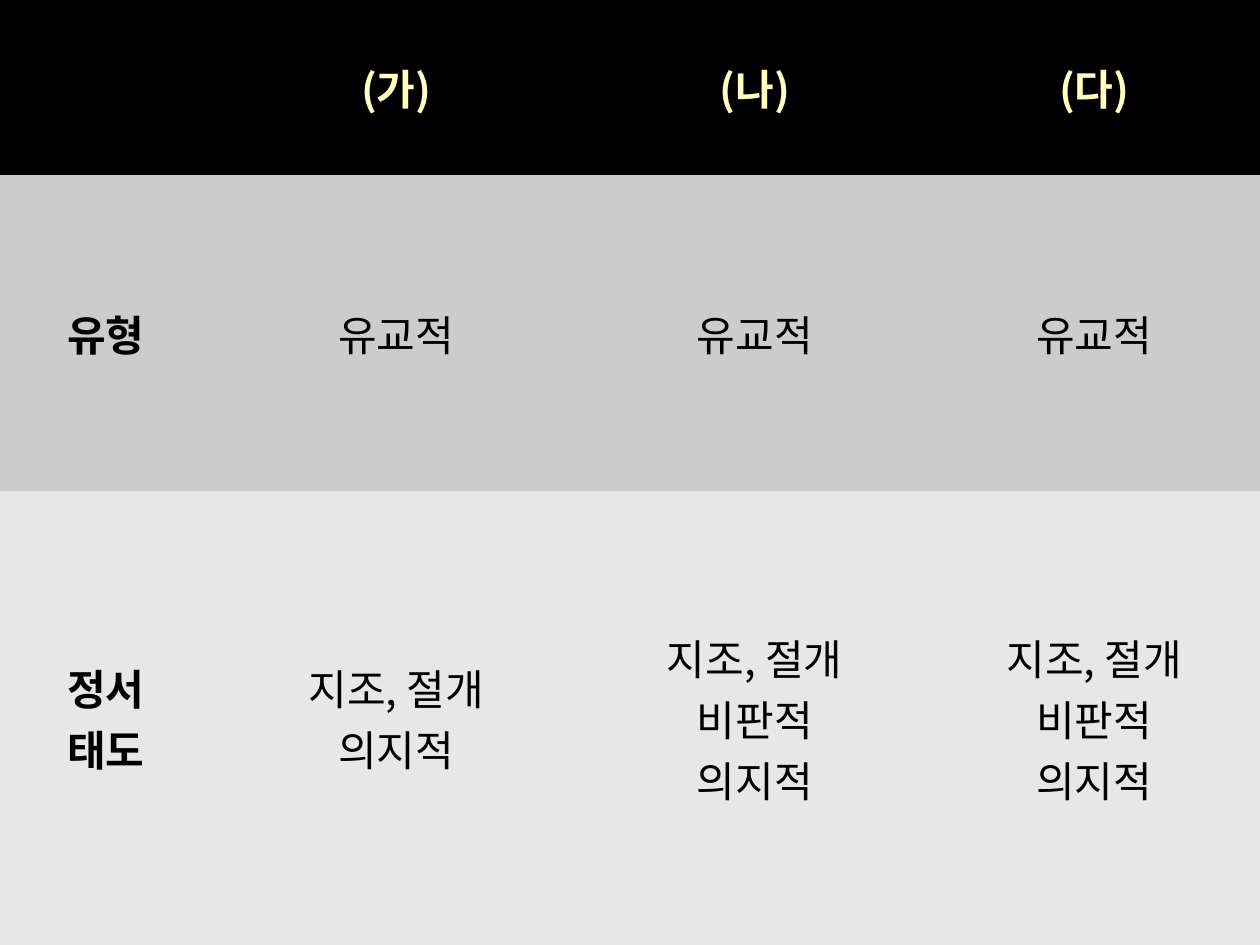
from pptx import Presentation
from pptx.dml.color import RGBColor
from pptx.enum import text
from pptx.oxml import ns
from pptx.util import Inches, Pt
from lxml import etree

FONT = "Noto Sans CJK KR"
BLACK = RGBColor(0x00, 0x00, 0x00)
CREAM = RGBColor(0xFF, 0xFF, 0xBF)
GRAY = RGBColor(0xCC, 0xCC, 0xCC)
LIGHT_GRAY = RGBColor(0xE7, 0xE7, 0xE7)
NO_STYLE_NO_GRID = "{2D5ABB26-0587-4C30-8999-92F81FD0307C}"

COLUMN_WIDTHS = [1.68, 2.93, 2.76, 2.63]
# height, fill, text colour, cells (one string per paragraph)
ROWS = [
    (1.39, BLACK, CREAM, [[], ["(가)"], ["(나)"], ["(다)"]]),
    (2.51, GRAY, BLACK, [["유형"], ["유교적"], ["유교적"], ["유교적"]]),
    (3.6, LIGHT_GRAY, BLACK, [
        ["정서", "태도"],
        ["지조, 절개", "의지적"],
        ["지조, 절개", "비판적", "의지적"],
        ["지조, 절개", "비판적", "의지적"],
    ]),
]


def write_lines(tf, lines, *, color, bold=False, size=24):
    for i, line in enumerate(lines):
        p = tf.add_paragraph() if i else tf.paragraphs[0]
        p.alignment = text.PP_ALIGN.CENTER
        r = p.add_run()
        r.text = line
        r.font.name = FONT
        r.font.size = Pt(size)
        r.font.bold = bold
        r.font.color.rgb = color
        ea = etree.SubElement(r.font._element, ns.qn("a:ea"))
        ea.set("typeface", FONT)


def main():
    prs = Presentation()
    prs.slide_width, prs.slide_height = Inches(10), Inches(7.5)
    s = prs.slides.add_slide(prs.slide_layouts[6])

    frame = s.shapes.add_table(len(ROWS), len(COLUMN_WIDTHS), 0, 0,
                               prs.slide_width, prs.slide_height)
    table = frame.table
    table.horz_banding = False
    frame._element.find(".//" + ns.qn("a:tableStyleId")).text = NO_STYLE_NO_GRID

    for column, width in zip(table.columns, COLUMN_WIDTHS):
        column.width = Inches(width)
    for i, (height, fill, color, cells) in enumerate(ROWS):
        table.rows[i].height = Inches(height)
        for j, lines in enumerate(cells):
            cell = table.cell(i, j)
            cell.fill.solid()
            cell.fill.fore_color.rgb = fill
            cell.vertical_anchor = text.MSO_ANCHOR.MIDDLE
            write_lines(cell.text_frame, lines, color=color,
                        bold=i == 0 or j == 0)

    prs.save("out.pptx")


if __name__ == "__main__":
    main()
